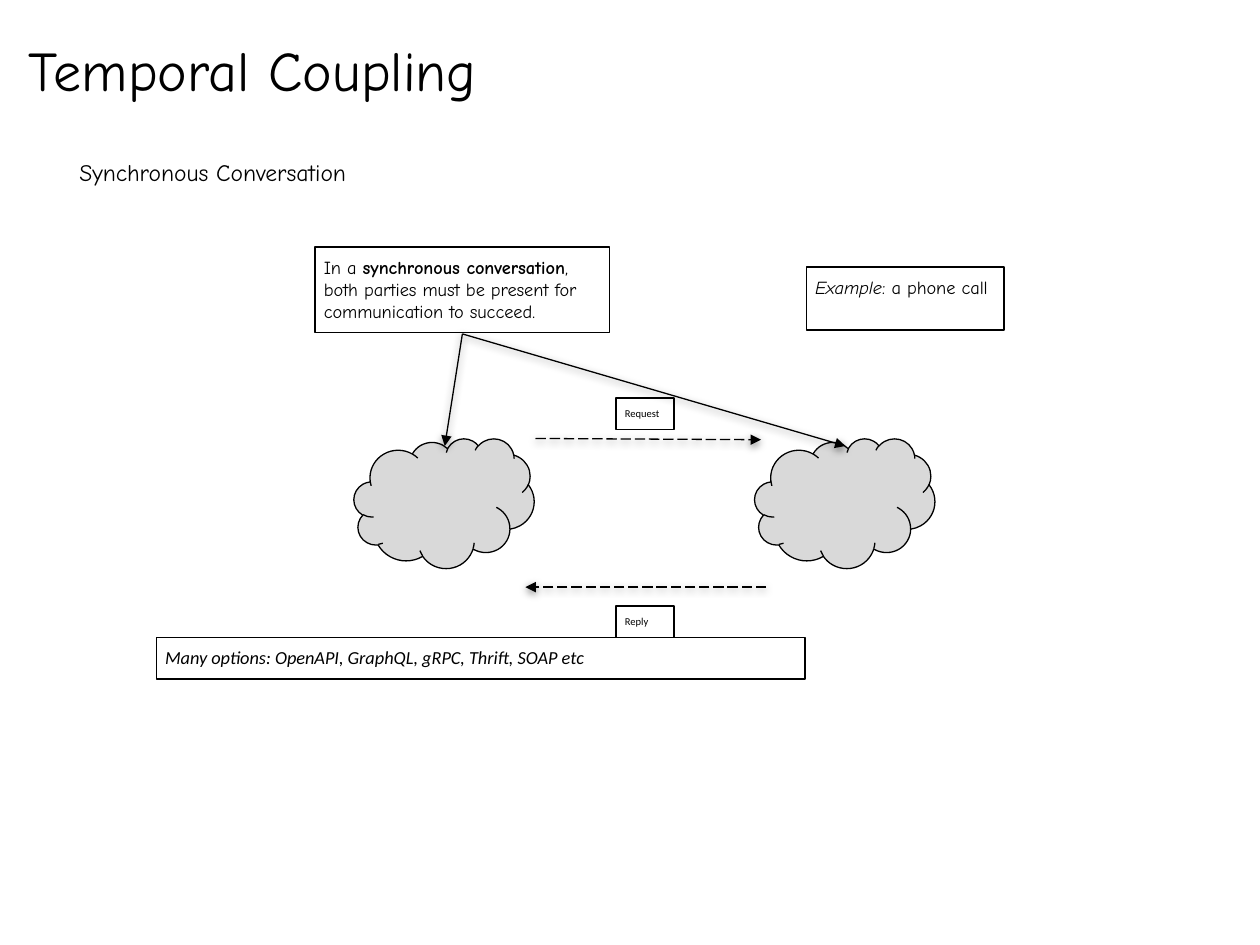
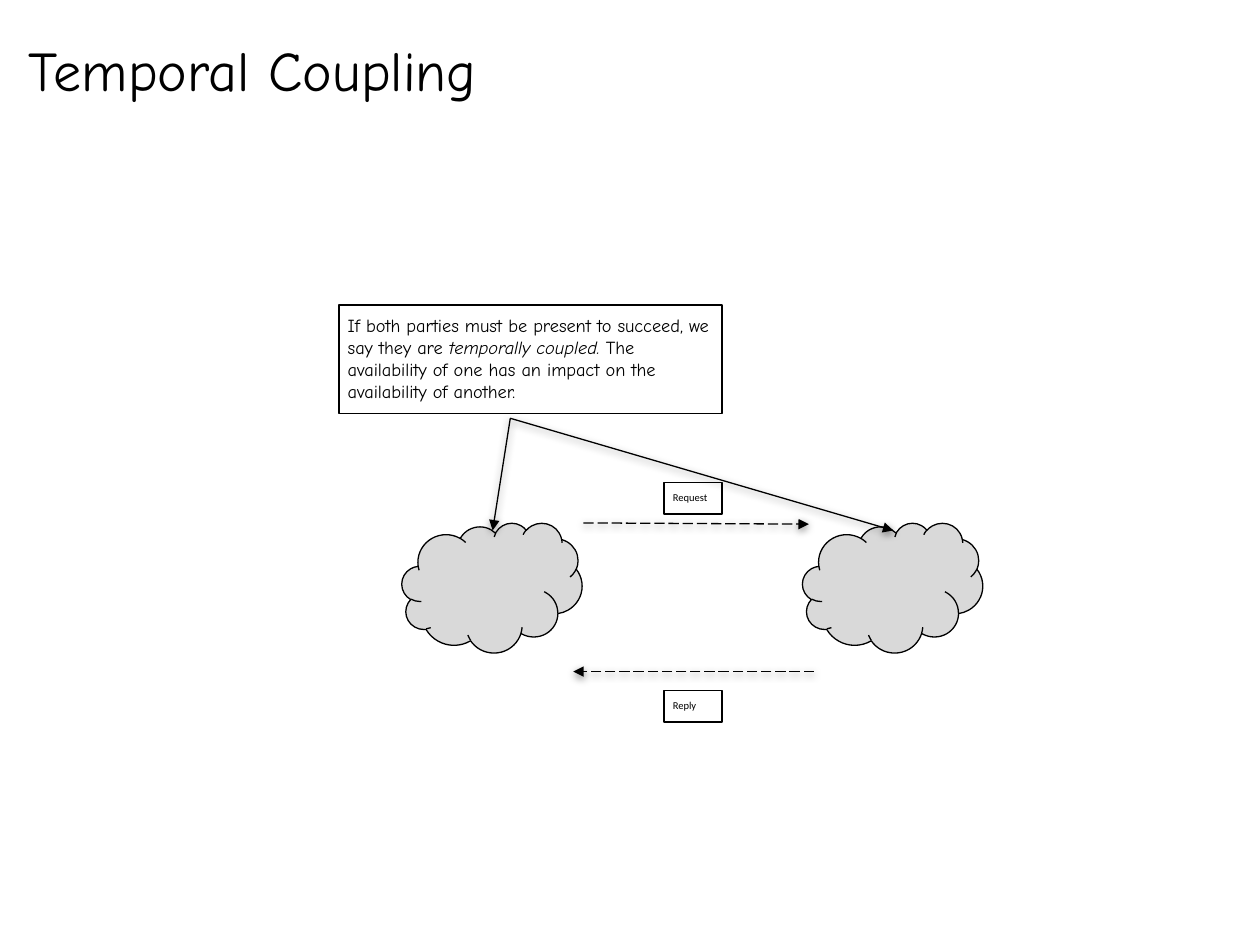
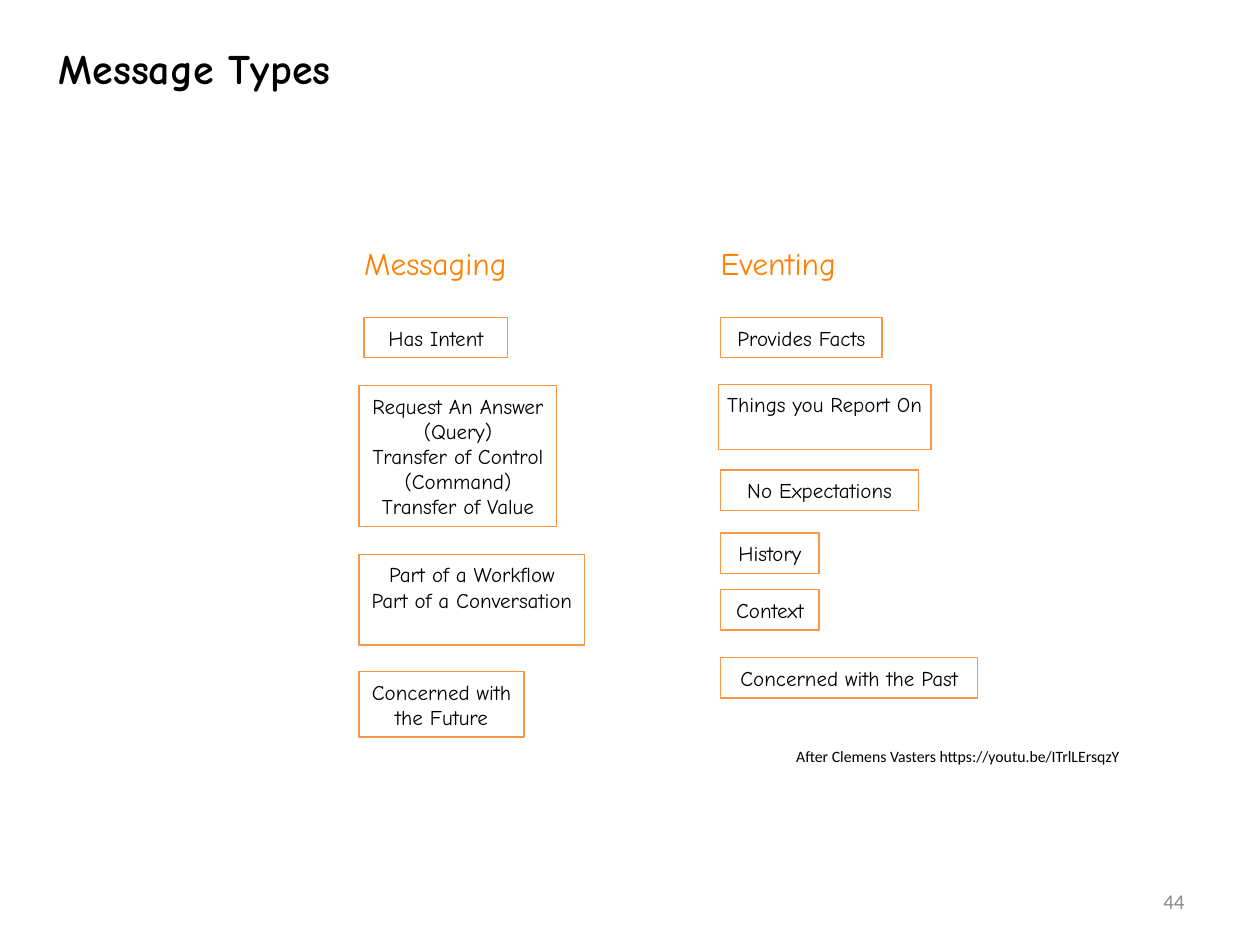
import pptx
import pptx.dml.color
import pptx.enum.dml
import pptx.enum.shapes
import pptx.enum.text
import pptx.oxml
import pptx.oxml.ns
import pptx.util
from dataclasses import dataclass
from typing import Any, NamedTuple

Inches = pptx.util.Inches
ALIGN = pptx.enum.text.PP_ALIGN
ANCHOR = pptx.enum.text.MSO_ANCHOR
SHAPE = pptx.enum.shapes.MSO_SHAPE


@dataclass(frozen=True)
class Theme:
    hand: str = "Comic Neue"
    plain: str = "Calibri"
    ink: str = "000000"
    cloud: str = "D9D9D9"
    heading: str = "FF8000"
    border: str = "F79646"
    muted: str = "8C8C8C"
    title: float = 32
    small_title: float = 24
    column_head: float = 18
    subtitle: float = 13.5
    card: float = 12
    note: float = 10.5
    credit: float = 9
    label: float = 6
    line: float = 0.75


THEME = Theme()


class Box(NamedTuple):
    left: float
    top: float
    width: float
    height: float


class Span(NamedTuple):
    text: str
    bold: bool = False
    italic: bool = False


@dataclass(frozen=True)
class Style:
    size: float
    font: str = THEME.hand
    color: str = THEME.ink
    border: str | None = None
    align: Any = ALIGN.LEFT
    anchor: Any = ANCHOR.TOP
    insets: tuple[float, float, float, float] = (0.07, 0.07, 0.07, 0.07)


class Arrow(NamedTuple):
    x1: float
    y1: float
    x2: float
    y2: float
    dashed: bool = False


class Card(NamedTuple):
    box: Box
    lines: tuple[str, ...]


STANDARD_INSETS = (0.1, 0.05, 0.1, 0.05)
CARD_INSETS = (0.06, 0.06, 0.06, 0.06)
TITLE = Style(THEME.title)
SUBTITLE = Style(THEME.subtitle)
NOTE = Style(THEME.note, border=THEME.ink)
OPTIONS = Style(THEME.note, THEME.plain, border=THEME.ink)
LABEL = Style(THEME.label, THEME.plain, border=THEME.ink)
SMALL_TITLE = Style(THEME.small_title, align=ALIGN.CENTER, insets=STANDARD_INSETS)
COLUMN_HEAD = Style(THEME.column_head, color=THEME.heading, insets=(0, 0, 0.06, 0))
CARD = Style(THEME.card, border=THEME.border, align=ALIGN.CENTER, insets=CARD_INSETS)
CREDIT = Style(THEME.credit, THEME.plain, insets=CARD_INSETS)
PAGE_NUMBER = Style(THEME.card, THEME.plain, THEME.muted, align=ALIGN.RIGHT,
                    anchor=ANCHOR.MIDDLE, insets=STANDARD_INSETS)

# Offsets from the top left of the first cloud
CLOUD_WIDTH, CLOUD_HEIGHT, CLOUD_STEP = 1.43, 1.03, 3.18
LABELS = ((Box(2.08, -0.32, 0.46, 0.25), "Request"),
          (Box(2.08, 1.33, 0.46, 0.25), "Reply"))
ARROWS = (Arrow(1.44, 0, 3.23, 0.01, True), Arrow(3.27, 1.18, 1.36, 1.18, True),
          Arrow(0.86, -0.83, 0.72, 0.06), Arrow(0.86, -0.83, 3.9, 0.06))

CARD_HEIGHT = 0.32
MESSAGING = (
    Card(Box(2.89, 2.52, 1.14, CARD_HEIGHT), ("Has Intent",)),
    Card(Box(2.85, 3.06, 1.57, 1.12),
         ("Request An Answer (Query)", "Transfer of Control", "(Command)",
          "Transfer of Value")),
    Card(Box(2.85, 4.4, 1.79, 0.72), ("Part of a Workflow", "Part of a Conversation")),
    Card(Box(2.85, 5.33, 1.31, 0.52), ("Concerned with the Future",)),
)
EVENTING = (
    Card(Box(5.72, 2.52, 1.28, CARD_HEIGHT), ("Provides Facts",)),
    Card(Box(5.7, 3.05, 1.69, 0.52), ("Things you Report On",)),
    Card(Box(5.72, 3.73, 1.57, CARD_HEIGHT), ("No Expectations",)),
    Card(Box(5.72, 4.23, 0.78, CARD_HEIGHT), ("History",)),
    Card(Box(5.72, 4.68, 0.78, CARD_HEIGHT), ("Context",)),
    Card(Box(5.72, 5.22, 2.04, CARD_HEIGHT), ("Concerned with the Past",)),
)


def rgb(color: str) -> pptx.dml.color.RGBColor:
    return pptx.dml.color.RGBColor.from_string(color)


def set_line(line: Any, color: str) -> None:
    line.color.rgb = rgb(color)
    line.width = pptx.util.Pt(THEME.line)


def add_text(s: Any, box: Box, style: Style, *lines: str | tuple[Span, ...]) -> None:
    """Draw one paragraph per line, in a rectangle if the style has a border."""
    place = [Inches(v) for v in box]
    if style.border:
        sp = s.shapes.add_shape(SHAPE.RECTANGLE, *place)
        sp.shadow.inherit = False
        sp.fill.background()
        set_line(sp.line, style.border)
    else:
        sp = s.shapes.add_textbox(*place)
    tf = sp.text_frame
    tf.word_wrap = True
    tf.vertical_anchor = style.anchor
    tf.margin_left, tf.margin_top, tf.margin_right, tf.margin_bottom = map(
        Inches, style.insets)
    for i, line in enumerate(lines):
        p = tf.add_paragraph() if i else tf.paragraphs[0]
        p.alignment = style.align
        for span in (Span(line),) if isinstance(line, str) else line:
            r = p.add_run()
            r.text = span.text
            r.font.name, r.font.size = style.font, pptx.util.Pt(style.size)
            r.font.bold, r.font.italic = span.bold, span.italic
            r.font.color.rgb = rgb(style.color)


def add_arrow(s: Any, arrow: Arrow, left: float, top: float) -> None:
    cx = s.shapes.add_connector(
        pptx.enum.shapes.MSO_CONNECTOR.STRAIGHT,
        Inches(left + arrow.x1), Inches(top + arrow.y1),
        Inches(left + arrow.x2), Inches(top + arrow.y2))
    set_line(cx.line, THEME.ink)
    if arrow.dashed:
        cx.line.dash_style = pptx.enum.dml.MSO_LINE.LONG_DASH
    ns = pptx.oxml.ns.nsdecls("a")
    cx.line._get_or_add_ln().append(
        pptx.oxml.parse_xml(f'<a:tailEnd {ns} type="triangle"/>'))
    blur, distance = pptx.util.Pt(4.5), pptx.util.Pt(1.5)
    cx._element.spPr.append(pptx.oxml.parse_xml(
        f'<a:effectLst {ns}><a:outerShdw blurRad="{blur}" dist="{distance}" '
        f'dir="5400000" rotWithShape="0"><a:srgbClr val="{THEME.ink}">'
        '<a:alpha val="50000"/></a:srgbClr></a:outerShdw></a:effectLst>'))


def add_conversation(s: Any, left: float, top: float) -> None:
    """Draw two clouds that exchange a request and a reply."""
    for i in range(2):
        sp = s.shapes.add_shape(
            SHAPE.CLOUD, Inches(left + i * CLOUD_STEP), Inches(top),
            Inches(CLOUD_WIDTH), Inches(CLOUD_HEIGHT))
        sp.shadow.inherit = False
        sp.fill.solid()
        sp.fill.fore_color.rgb = rgb(THEME.cloud)
        set_line(sp.line, THEME.ink)
    for box, text in LABELS:
        place = box._replace(left=left + box.left, top=top + box.top)
        add_text(s, place, LABEL, text)
    for arrow in ARROWS:
        add_arrow(s, arrow, left, top)


def add_coupling_slide(prs: Any, left: float, top: float) -> Any:
    s = prs.slides.add_slide(prs.slide_layouts[6])
    add_text(s, Box(0.16, 0.21, 6.49, 0.69), TITLE, "Temporal Coupling")
    add_conversation(s, left, top)
    return s


def add_synchronous_slide(prs: Any) -> None:
    s = add_coupling_slide(prs, 2.81, 3.48)
    add_text(s, Box(0.56, 1.18, 6.49, 0.38), SUBTITLE, "Synchronous Conversation")
    add_text(s, Box(2.5, 1.96, 2.34, 0.68), NOTE, (
        Span("In a "), Span("synchronous conversation", bold=True),
        Span(", both parties must be present for communication to succeed.")))
    add_text(s, Box(6.4, 2.12, 1.57, 0.5), NOTE,
             (Span("Example", italic=True), Span(": a phone call")))
    add_text(s, Box(1.24, 5.06, 5.15, 0.33), OPTIONS, (
        Span("Many options: OpenAPI, GraphQL, gRPC, Thrift, SOAP etc", italic=True),))


def add_availability_slide(prs: Any) -> None:
    s = add_coupling_slide(prs, 3.19, 4.15)
    add_text(s, Box(2.69, 2.42, 3.04, 0.86), NOTE, (
        Span("If both parties must be present to succeed, we say they are "),
        Span("temporally coupled. ", italic=True),
        Span("The availability of one has an impact on the availability of another.")))


def add_message_types_slide(prs: Any) -> None:
    s = prs.slides.add_slide(prs.slide_layouts[6])
    add_text(s, Box(0.21, 0.29, 2.67, 0.5), SMALL_TITLE,
             (Span("Message Types", bold=True),))
    add_text(s, Box(2.89, 1.94, 1.47, 0.32), COLUMN_HEAD, "Messaging")
    add_text(s, Box(5.72, 1.94, 1.01, 0.32), COLUMN_HEAD, "Eventing")
    for card in MESSAGING + EVENTING:
        add_text(s, card.box, CARD, *card.lines)
    add_text(s, Box(6.26, 5.87, 2.74, 0.27), CREDIT,
             "After Clemens Vasters https://youtu.be/ITrlLErsqzY")
    add_text(s, Box(7.17, 6.95, 2.33, 0.4), PAGE_NUMBER, "44")


def main() -> None:
    prs = pptx.Presentation()
    prs.slide_width, prs.slide_height = Inches(10), Inches(7.5)
    add_synchronous_slide(prs)
    add_availability_slide(prs)
    add_message_types_slide(prs)
    prs.save("out.pptx")


if __name__ == "__main__":
    main()
